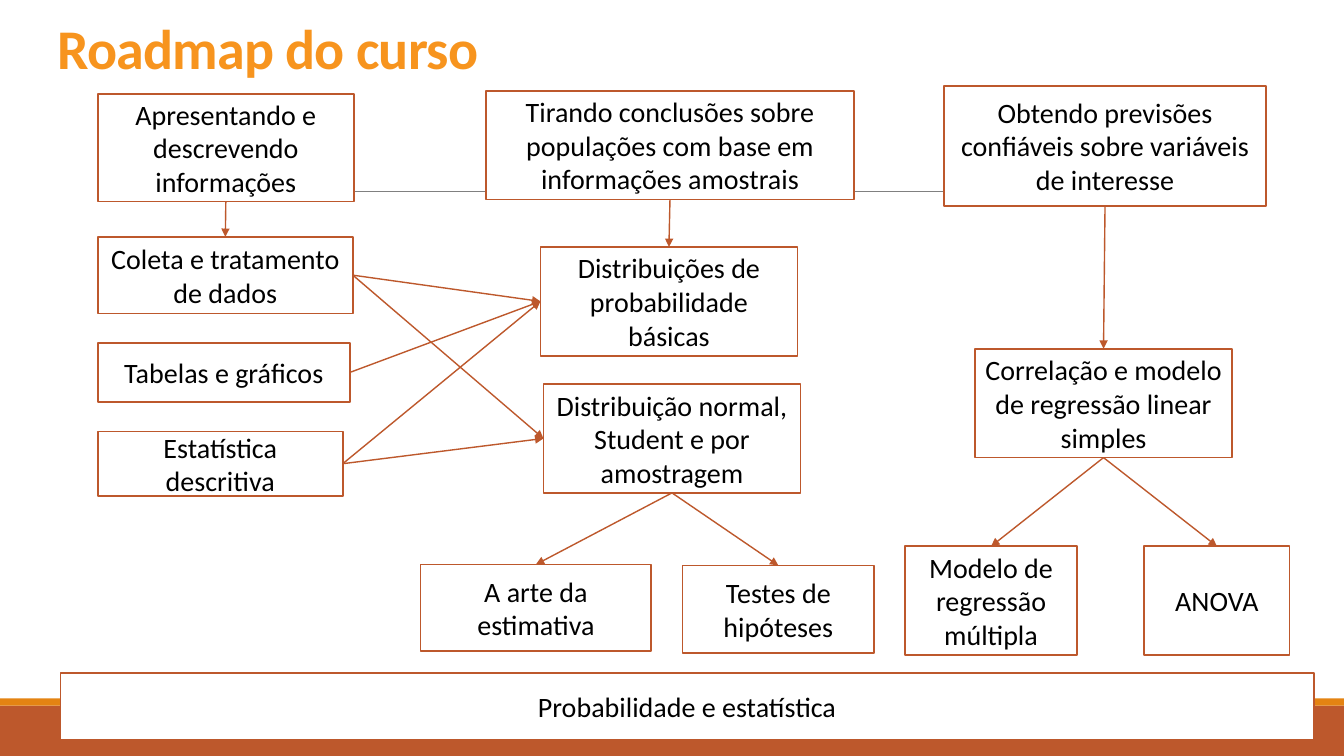
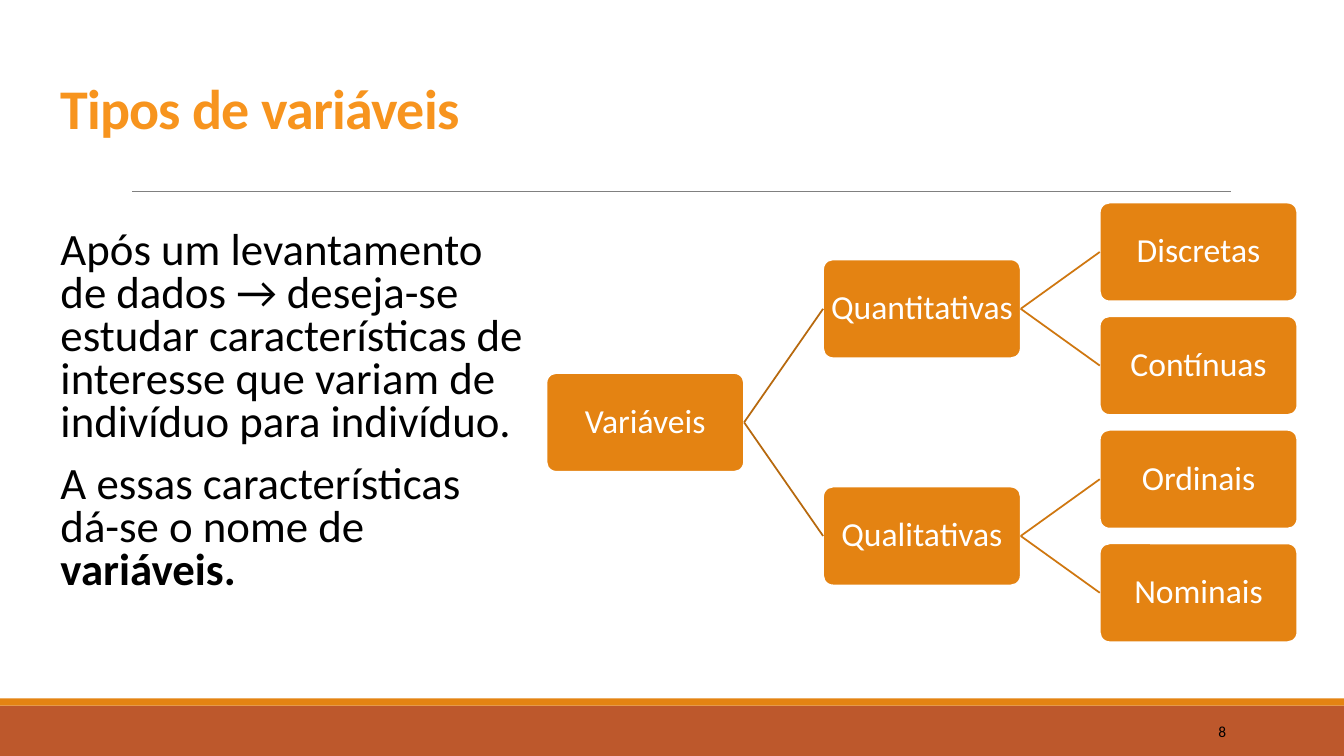
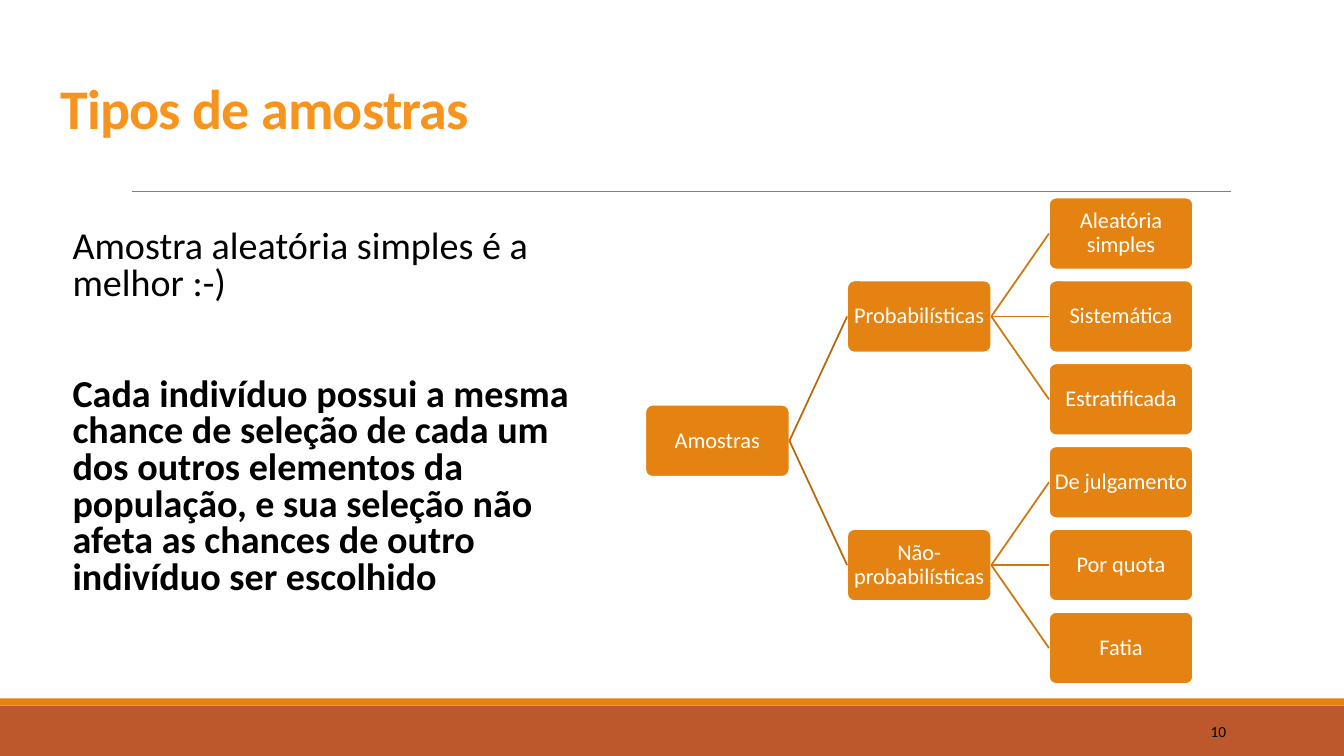
"""Build three slides of a statistics course: a roadmap and two classification trees."""
import pptx
import pptx.util
import pptx.dml.color
import pptx.enum.shapes
import pptx.enum.text
import pptx.oxml.ns
import lxml.etree

Inches, Pt = pptx.util.Inches, pptx.util.Pt
SHAPE = pptx.enum.shapes.MSO_SHAPE
ALIGN = pptx.enum.text.PP_ALIGN
ANCHOR = pptx.enum.text.MSO_ANCHOR

WIDTH, HEIGHT = 13.33, 7.5
FONT = "Calibri"
COLORS = {
    "rust": "BD582C", "orange": "E48312", "title": "F7941E", "rule": "808080",
    "branch": "B7690E", "twig": "CF7710", "black": "000000", "white": "FFFFFF",
}
TOP, LEFT, BOTTOM, RIGHT = range(4)
DOWN, ACROSS = (BOTTOM, TOP), (RIGHT, LEFT)

ROADMAP = {
    "apresentar": ("Apresentando e descrevendo informações", (0.97, 0.93, 2.54, 1.07)),
    "coleta": ("Coleta e tratamento de dados", (0.97, 2.35, 2.53, 0.76)),
    "tabelas": ("Tabelas e gráficos", (0.97, 3.4, 2.5, 0.59)),
    "descritiva": ("Estatística descritiva", (0.97, 4.28, 2.43, 0.64)),
    "concluir": ("Tirando conclusões sobre populações com base em informações amostrais",
                 (4.82, 0.9, 3.65, 1.08)),
    "basicas": ("Distribuições de probabilidade básicas", (5.36, 2.45, 2.55, 1.08)),
    "normal": ("Distribuição normal, Student e por amostragem", (5.39, 3.81, 2.55, 1.08)),
    "estimativa": ("A arte da estimativa", (4.17, 5.6, 2.29, 0.86)),
    "testes": ("Testes de hipóteses", (6.77, 5.61, 1.9, 0.87)),
    "prever": ("Obtendo previsões confiáveis sobre variáveis de interesse",
               (9.36, 0.85, 3.2, 1.19)),
    "correlacao": ("Correlação e modelo de regressão linear simples", (9.67, 3.46, 2.55, 1.08)),
    "multipla": ("Modelo de regressão múltipla", (8.98, 5.42, 1.7, 1.08)),
    "anova": ("ANOVA", (11.35, 5.42, 1.44, 1.08)),
    "base": ("Probabilidade e estatística", (0.6, 6.68, 12.43, 0.66)),
}
ARROWS = [
    ("apresentar", "coleta", DOWN), ("concluir", "basicas", DOWN),
    ("prever", "correlacao", DOWN), ("normal", "estimativa", DOWN),
    ("normal", "testes", DOWN), ("correlacao", "multipla", DOWN),
    ("correlacao", "anova", DOWN), ("coleta", "basicas", ACROSS),
    ("coleta", "normal", ACROSS), ("tabelas", "basicas", ACROSS),
    ("descritiva", "basicas", ACROSS), ("descritiva", "normal", ACROSS),
]
TREE_SLIDES = [
    {
        "title": "Tipos de variáveis", "number": 8,
        "body": [
            (12, [("Após um levantamento de dados → deseja-se estudar características de "
                   "interesse que variam de indivíduo para indivíduo.", False)]),
            (12, [("A essas características dá-se o nome de ", False), ("variáveis.", True)]),
        ],
        "body_at": (0.6, 2.24, 4.59, 3.9), "body_size": 32,
        "root": "Variáveis",
        "groups": {"Quantitativas": ["Discretas", "Contínuas"],
                   "Qualitativas": ["Ordinais", "Nominais"]},
        "tree_at": (5.42, 2.01), "node_width": 1.96, "node_size": 24, "inset": 0.02,
    },
    {
        "title": "Tipos de amostras", "number": 10,
        "body": [
            (12, [("Amostra aleatória simples é a melhor :-)", False)]),
            (51, [("Cada indivíduo possui a mesma chance de seleção de cada um dos outros "
                   "elementos da população, e sua seleção não afeta as chances de outro "
                   "indivíduo ser escolhido", True)]),
        ],
        "body_at": (0.72, 2.24, 4.93, 3.9), "body_size": 27.2,
        "root": "Amostras",
        "groups": {"Probabilísticas": ["Aleatória simples", "Sistemática", "Estratificada"],
                   "Não-probabilísticas": ["De julgamento", "Por quota", "Fatia"]},
        "tree_at": (6.4, 1.96), "node_width": 1.43, "node_size": 16, "inset": 0.01,
    },
]


def rgb(name):
    return pptx.dml.color.RGBColor.from_string(COLORS[name])


def style_runs(p, size, color, bold=False):
    for r in p.runs:
        r.font.name, r.font.size, r.font.bold = FONT, Pt(size), bold
        r.font.color.rgb = rgb(color)


def add_box(slide, kind, at, fill, line=None, text="", size=20, color="black"):
    sp = slide.shapes.add_shape(kind, *map(Inches, at))
    sp.shadow.inherit = False
    sp.fill.solid()
    sp.fill.fore_color.rgb = rgb(fill)
    if line:
        sp.line.color.rgb = rgb(line)
        sp.line.width = Pt(1.25)
    else:
        sp.line.fill.background()
    if text:
        tf = sp.text_frame
        tf.word_wrap, tf.vertical_anchor = True, ANCHOR.MIDDLE
        p = tf.paragraphs[0]
        p.text, p.alignment = text, ALIGN.CENTER
        style_runs(p, size, color)
    return sp


def add_text(slide, at, anchor):
    tf = slide.shapes.add_textbox(*map(Inches, at)).text_frame
    tf.word_wrap, tf.vertical_anchor = True, anchor
    return tf


def add_line(slide, color, width, ends=(0, 0, 0, 0)):
    cn = slide.shapes.add_connector(pptx.enum.shapes.MSO_CONNECTOR.STRAIGHT, *map(Inches, ends))
    cn.line.color.rgb = rgb(color)
    cn.line.width = Pt(width)
    lxml.etree.SubElement(cn._element.spPr, pptx.oxml.ns.qn("a:effectLst"))
    return cn


def join(slide, start, end, sides, color, width):
    cn = add_line(slide, color, width)
    cn.begin_connect(start, sides[0])
    cn.end_connect(end, sides[1])
    return cn


def add_slide(prs, title, title_at=(0.5, 0.41, 9.33, 1.04), number=None):
    slide = prs.slides.add_slide(prs.slide_layouts[6])
    add_box(slide, SHAPE.RECTANGLE, (0, 7, WIDTH, 0.5), "rust")
    add_box(slide, SHAPE.RECTANGLE, (0, 6.93, WIDTH, 0.07), "orange")
    add_line(slide, "rule", 0.5, (1.31, 1.9, 12.21, 1.9))
    p = add_text(slide, title_at, ANCHOR.BOTTOM).paragraphs[0]
    p.text, p.line_spacing = title, 0.85
    style_runs(p, 40, "title", True)
    p.runs[0].font._element.set("spc", "-50")
    if number:
        p = add_text(slide, (10.83, 7.06, 1.43, 0.4), ANCHOR.MIDDLE).paragraphs[0]
        p.text, p.alignment = str(number), ALIGN.RIGHT
        style_runs(p, 11, "black")
    return slide


def add_body(slide, paragraphs, at, size):
    tf = add_text(slide, at, ANCHOR.TOP)
    tf.margin_left = tf.margin_right = 0
    for i, (before, runs) in enumerate(paragraphs):
        p = tf.add_paragraph() if i else tf.paragraphs[0]
        p.line_spacing, p.space_before, p.space_after = 0.8, Pt(before), Pt(2)
        for text, bold in runs:
            r = p.add_run()
            r.text = text
        style_runs(p, size, "black")
        for r, (text, bold) in zip(p.runs, runs):
            r.font.bold = bold


def add_tree(slide, data):
    left, top = data["tree_at"]
    width = data["node_width"]
    height = width / 2
    column, row = width * 1.4, height * 1.15

    def add_node(text, level, position):
        at = (left + level * column, top + position * row, width, height)
        sp = add_box(slide, SHAPE.ROUNDED_RECTANGLE, at, "orange", "white",
                     text, data["node_size"], "white")
        sp.adjustments[0] = 0.1
        tf = sp.text_frame
        tf.margin_left = tf.margin_right = Inches(data["inset"])
        tf.margin_top = tf.margin_bottom = Inches(data["inset"])
        tf.paragraphs[0].line_spacing = 0.9
        return sp

    count = sum(map(len, data["groups"].values()))
    root = add_node(data["root"], 0, (count - 1) / 2)
    first = 0
    for group, leaves in data["groups"].items():
        parent = add_node(group, 1, first + (len(leaves) - 1) / 2)
        join(slide, root, parent, ACROSS, "branch", 1.25)
        for i, leaf in enumerate(leaves, first):
            join(slide, parent, add_node(leaf, 2, i), ACROSS, "twig", 1.25)
        first += len(leaves)


def add_roadmap(prs):
    slide = add_slide(prs, "Roadmap do curso", (0.47, 0.15, 9.33, 0.7))
    boxes = {key: add_box(slide, SHAPE.FLOWCHART_PROCESS, at, "white", "rust", text)
             for key, (text, at) in ROADMAP.items()}
    for start, end, sides in ARROWS:
        cn = join(slide, boxes[start], boxes[end], sides, "rust", 1)
        lxml.etree.SubElement(cn.line._get_or_add_ln(), pptx.oxml.ns.qn("a:tailEnd"),
                              type="triangle")


def main():
    prs = pptx.Presentation()
    prs.slide_width, prs.slide_height = Inches(WIDTH), Inches(HEIGHT)
    add_roadmap(prs)
    for data in TREE_SLIDES:
        slide = add_slide(prs, data["title"], number=data["number"])
        add_body(slide, data["body"], data["body_at"], data["body_size"])
        add_tree(slide, data)
    prs.save("out.pptx")


if __name__ == "__main__":
    main()
